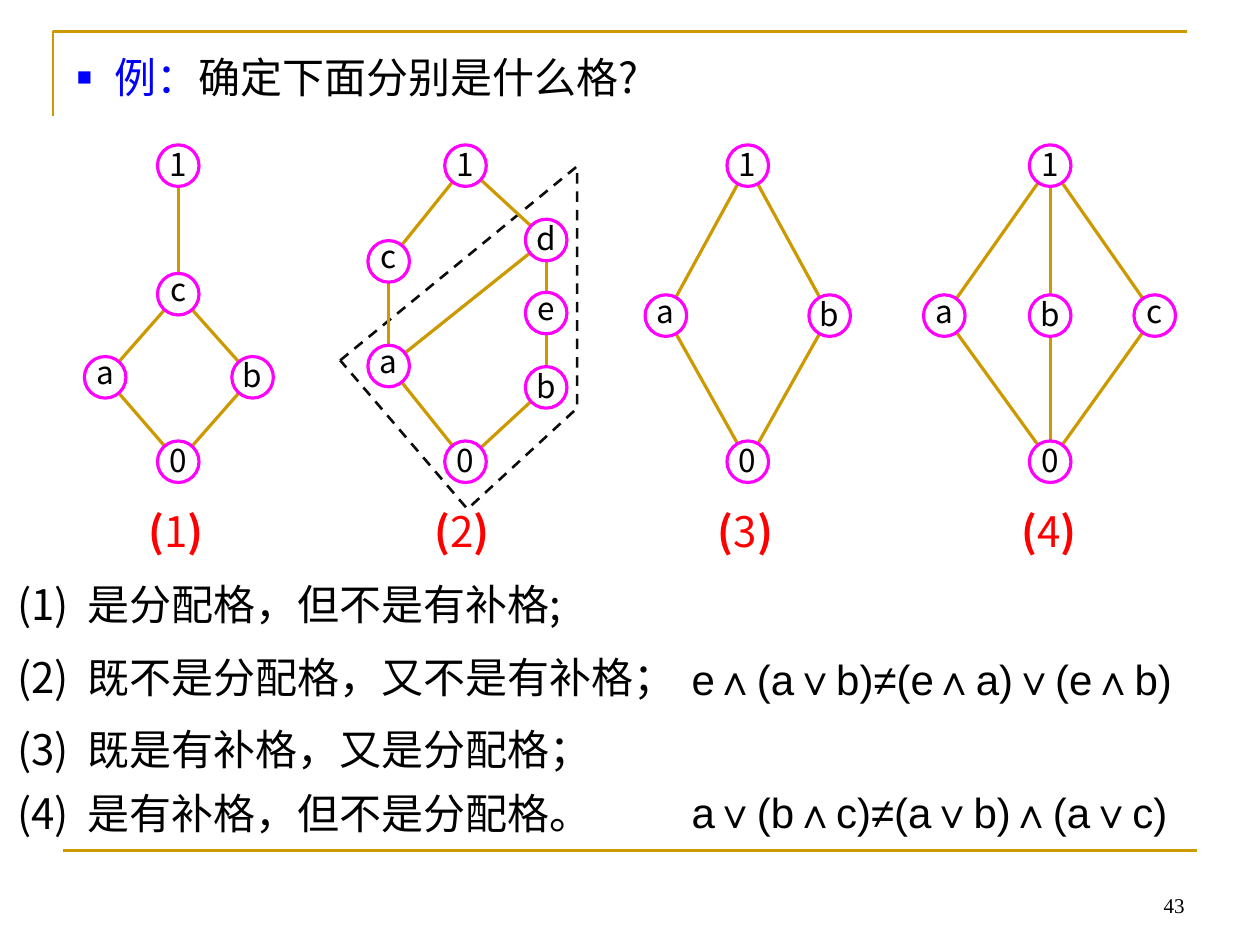
"""Build a slide that classifies four lattices from their Hasse diagrams."""
from lxml.etree import SubElement
from pptx import Presentation
from pptx.dml.color import RGBColor
from pptx.enum.dml import MSO_LINE
from pptx.enum.shapes import MSO_CONNECTOR, MSO_SHAPE
from pptx.enum.text import MSO_ANCHOR, MSO_AUTO_SIZE, PP_ALIGN
from pptx.oxml.ns import qn
from pptx.util import Pt

PX = 9144
NODE = 33
CJK = "Noto Sans CJK SC"
COLORS = {
    "gold": "CC9900", "magenta": "FF00FF", "blue": "0000FF", "red": "FF0000",
    "black": "000000", "white": "FFFFFF", "dash": "0D0D0D",
}


def add_span(para, text, size=24, color="black", font=CJK, bold=False):
    span = para.add_run()
    span.text = text
    span.font.size = Pt(size)
    span.font.bold = bold
    span.font.name = font
    span.font.color.rgb = RGBColor.from_string(COLORS[color])
    SubElement(span.font._element, qn("a:ea"), typeface=font)


def add_line(page, start, end, width):
    line = page.shapes.add_connector(
        MSO_CONNECTOR.STRAIGHT, *[round(value * PX) for value in (*start, *end)])
    line.line.color.rgb = RGBColor.from_string(COLORS["gold"])
    line.line.width = Pt(width)
    SubElement(line._element.spPr, qn("a:effectLst"))


deck = Presentation()
deck.slide_width = 1000 * PX
deck.slide_height = 750 * PX
page = deck.slides.add_slide(deck.slide_layouts[5])

outlines = [
    ([(42, 92), (42, 25), (942, 25)], False, "gold", None),
    ([(270, 286), (458, 132), (458, 324), (371, 404)], True, "dash", MSO_LINE.DASH),
]
for points, closed, color, dash in outlines:
    builder = page.shapes.build_freeform(*points[0], scale=PX)
    builder.add_line_segments(points[1:], close=closed)
    outline = builder.convert_to_shape()
    outline.shadow.inherit = False
    outline.fill.background()
    outline.line.color.rgb = RGBColor.from_string(COLORS[color])
    outline.line.width = Pt(1.5)
    outline.line.dash_style = dash
add_line(page, (50, 675), (950, 675), 1.5)

title = page.shapes.title
title.left, title.top, title.width, title.height = 51 * PX, 36 * PX, 598 * PX, 51 * PX
title.text_frame.vertical_anchor = MSO_ANCHOR.TOP
title.text_frame.auto_size = MSO_AUTO_SIZE.SHAPE_TO_FIT_TEXT
para = title.text_frame.paragraphs[0]
para.alignment = PP_ALIGN.LEFT
props = para._p.get_or_add_pPr()
props.set("marL", str(30 * PX))
props.set("indent", str(-30 * PX))
SubElement(props, qn("a:buSzPct"), val="60000")
SubElement(props, qn("a:buFont"), typeface="Arial")
SubElement(props, qn("a:buChar"), char="■")
add_span(para, "例：", color="blue")
add_span(para, "确定下面分别是什么格?")

answers = [
    (454, "(1)\t是分配格，但不是有补格;"),
    (512, "(2)\t既不是分配格，又不是有补格；"),
    (569, "(3)\t既是有补格，又是分配格；"),
    (620, "(4)\t是有补格，但不是分配格。"),
]
for top, text in answers:
    box = page.shapes.add_textbox(4 * PX, top * PX, 567 * PX, 51 * PX)
    box.text_frame.word_wrap = True
    box.text_frame.auto_size = MSO_AUTO_SIZE.SHAPE_TO_FIT_TEXT
    para = box.text_frame.paragraphs[0]
    props = para._p.get_or_add_pPr()
    props.set("marL", str(56 * PX))
    props.set("indent", str(-56 * PX))
    add_span(para, text)

formulas = [(514, "e∧(a∨b)≠(e∧a)∨(e∧b)"), (619, "a∨(b∧c)≠(a∨b)∧(a∨c)")]
for top, text in formulas:
    box = page.shapes.add_textbox(539 * PX, top * PX, 406 * PX, 51 * PX)
    box.text_frame.word_wrap = False
    box.text_frame.auto_size = MSO_AUTO_SIZE.SHAPE_TO_FIT_TEXT
    add_span(box.text_frame.paragraphs[0], text, font="Arial")

lattices = [
    (108, {"1": (125, 115), "c": (125, 217), "a": (67, 283), "b": (184, 283),
           "0": (125, 350)}, "1c ca cb a0 b0"),
    (335, {"1": (353, 115), "c": (292, 191), "d": (417, 174), "e": (417, 232),
           "a": (292, 274), "b": (417, 291), "0": (353, 350)},
     "1c 1d ca da de eb a0 b0"),
    (560, {"1": (577, 115), "a": (512, 234), "b": (642, 234), "0": (577, 350)},
     "1a 1b a0 b0"),
    (801, {"1": (817, 115), "a": (733, 234), "b": (817, 234), "c": (900, 234),
           "0": (817, 350)}, "1a 1b 1c a0 b0 c0"),
]
for number, (label_left, nodes, edges) in enumerate(lattices, 1):
    for upper, lower in edges.split():
        start, end = [[value + NODE / 2 for value in nodes[name]] for name in (upper, lower)]
        add_line(page, start, end, 1.8)
    for name, (left, top) in nodes.items():
        node = page.shapes.add_shape(
            MSO_SHAPE.OVAL, left * PX, top * PX, NODE * PX, NODE * PX)
        node.shadow.inherit = False
        node.fill.solid()
        node.fill.fore_color.rgb = RGBColor.from_string(COLORS["white"])
        node.line.color.rgb = RGBColor.from_string(COLORS["magenta"])
        node.line.width = Pt(1.8)
        frame = node.text_frame
        frame.word_wrap = False
        frame.vertical_anchor = MSO_ANCHOR.MIDDLE
        frame.margin_left = frame.margin_right = 10 * PX
        frame.margin_top = 0 if name in "ace" else 5 * PX
        frame.margin_bottom = 8 * PX
        frame.paragraphs[0].alignment = PP_ALIGN.CENTER
        add_span(frame.paragraphs[0], name, size=18)
    label = page.shapes.add_textbox(label_left * PX, 396 * PX, 67 * PX, 50 * PX)
    label.text_frame.word_wrap = True
    label.text_frame.auto_size = MSO_AUTO_SIZE.SHAPE_TO_FIT_TEXT
    for text, bold in [("(", True), (str(number), False), (")", True)]:
        add_span(label.text_frame.paragraphs[0], text, color="red", bold=bold)

box = page.shapes.add_textbox(717 * PX, 683 * PX, 233 * PX, 50 * PX)
box.text_frame.word_wrap = True
box.text_frame.vertical_anchor = MSO_ANCHOR.BOTTOM
box.text_frame.paragraphs[0].alignment = PP_ALIGN.RIGHT
add_span(box.text_frame.paragraphs[0], "43", size=12, font="Times New Roman")

deck.save("out.pptx")
